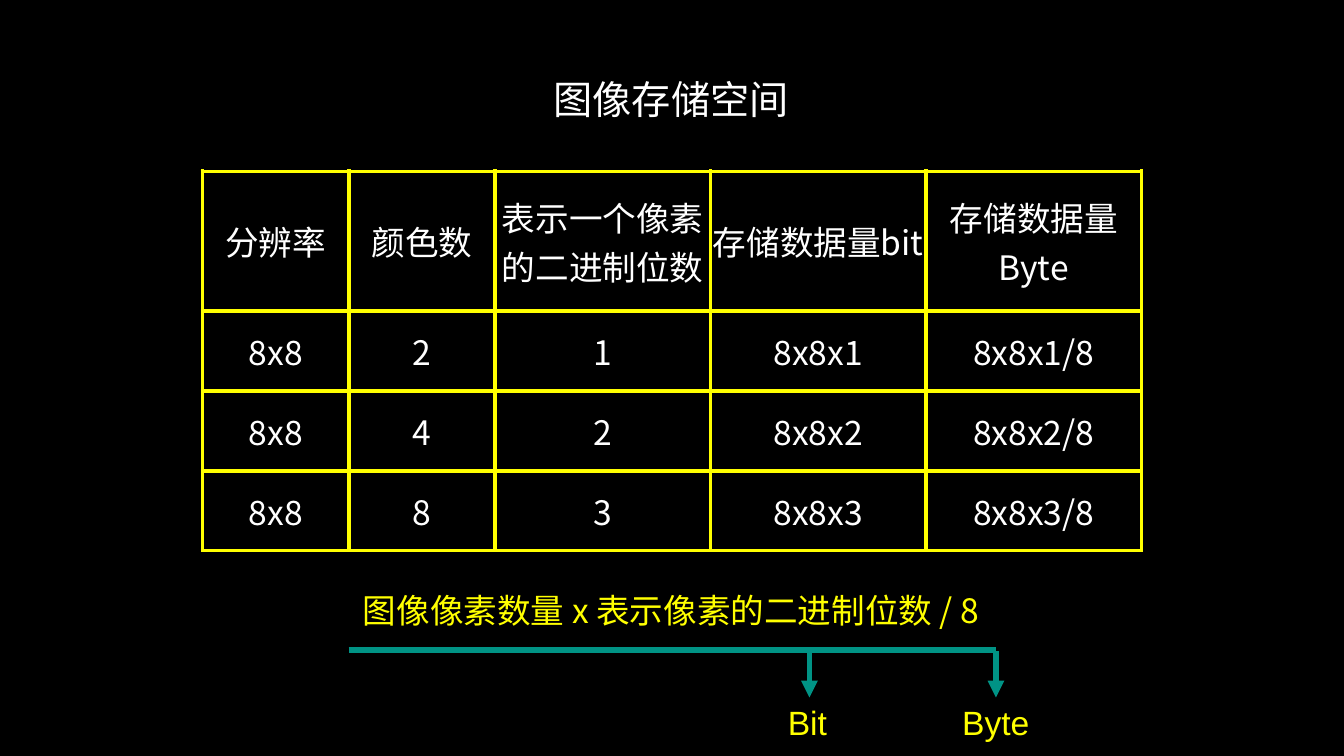
from lxml import etree
from pptx import Presentation
from pptx.dml.color import RGBColor
from pptx.enum.shapes import MSO_CONNECTOR
from pptx.enum.text import MSO_ANCHOR, PP_ALIGN
from pptx.oxml.ns import qn
from pptx.util import Pt

LINE = MSO_CONNECTOR.STRAIGHT
MIDDLE = MSO_ANCHOR.MIDDLE
CENTER = PP_ALIGN.CENTER
NOTO = "Noto Sans CJK SC"
BLACK, WHITE, YELLOW, TEAL = "000000", "FFFFFF", "FFFF00", "009385"

COLS = [104.4, 104.4, 154, 154, 154]
ROWS = [100, 57, 57, 57]
HEADS = ["分辨率", "颜色数", "表示一个像素的二进制位数", "存储数据量bit", "存储数据量Byte"]
DEPTHS = [(2, 1), (4, 2), (8, 3)]


def paint(target, color):
    target.solid()
    target.fore_color.rgb = RGBColor.from_string(color)


def write(frame, text, size=24, font=NOTO, color=WHITE):
    para = frame.paragraphs[0]
    para.alignment = CENTER
    run = para.add_run()
    run.text = text
    run.font.size = Pt(size)
    run.font.name = font
    paint(run.font.fill, color)
    props = run.font._element
    etree.SubElement(props, qn("a:ea"), typeface=font)


def add_text(slide, text, left, top, width, height, inset=3.6, **style):
    frame = slide.shapes.add_textbox(Pt(left), Pt(top), Pt(width), Pt(height)).text_frame
    frame.word_wrap = True
    frame.margin_top = frame.margin_bottom = Pt(inset)
    write(frame, text, **style)


def add_line(slide, start, end, arrow=False):
    line = slide.shapes.add_connector(LINE, *map(Pt, start + end))
    line.line.width = Pt(4)
    paint(line.line.fill, TEAL)
    if arrow:
        etree.SubElement(line.line._get_or_add_ln(), qn("a:tailEnd"), type="triangle")
    etree.SubElement(line._element.spPr, qn("a:effectLst"))


def add_edges(cell, color, width):
    props = cell._tc.get_or_add_tcPr()
    for side in ("a:lnL", "a:lnR", "a:lnT", "a:lnB"):
        edge = etree.SubElement(props, qn(side), w=str(Pt(width)))
        fill = etree.SubElement(edge, qn("a:solidFill"))
        etree.SubElement(fill, qn("a:srgbClr"), val=color)


def add_grid(slide, rows, left, top):
    table = slide.shapes.add_table(
        len(ROWS), len(COLS), Pt(left), Pt(top), Pt(sum(COLS)), Pt(sum(ROWS))
    ).table
    table.first_row = table.horz_banding = False
    for col, width in zip(table.columns, COLS):
        col.width = Pt(width)
    for row, height, texts in zip(table.rows, ROWS, rows):
        row.height = Pt(height)
        for cell, text in zip(row.cells, texts):
            side = 0.7 if texts is HEADS else 5
            cell.margin_left = cell.margin_right = Pt(side)
            cell.margin_top = cell.margin_bottom = Pt(0)
            cell.vertical_anchor = MIDDLE
            add_edges(cell, YELLOW, 3)
            paint(cell.fill, BLACK)
            write(cell.text_frame, text)


def main():
    deck = Presentation()
    deck.slide_width, deck.slide_height = Pt(960), Pt(540)
    slide = deck.slides.add_slide(deck.slide_layouts[6])
    paint(slide.background.fill, BLACK)

    add_text(slide, "图像存储空间", 32.4, 46.8, 894, 60.5, inset=7.2, size=28)
    rows = [HEADS]
    for count, bits in DEPTHS:
        total = f"8x8x{bits}"
        rows.append(["8x8", str(count), str(bits), total, f"{total}/8"])
    add_grid(slide, rows, 144.7, 122.4)

    add_text(slide, "图像像素数量 x 表示像素的二进制位数 / 8",
             32.4, 417.6, 894, 60.5, color=YELLOW)
    add_line(slide, (249, 464.4), (711.4, 464.4))
    for unit, mid, left in (("Bit", 578.2, 520.6), ("Byte", 711.4, 655.2)):
        add_line(slide, (mid, 465), (mid, 498.2), arrow=True)
        add_text(slide, unit, left, 498.2, 112.3, 36, font="Arial", color=YELLOW)

    deck.save("out.pptx")


if __name__ == "__main__":
    main()
